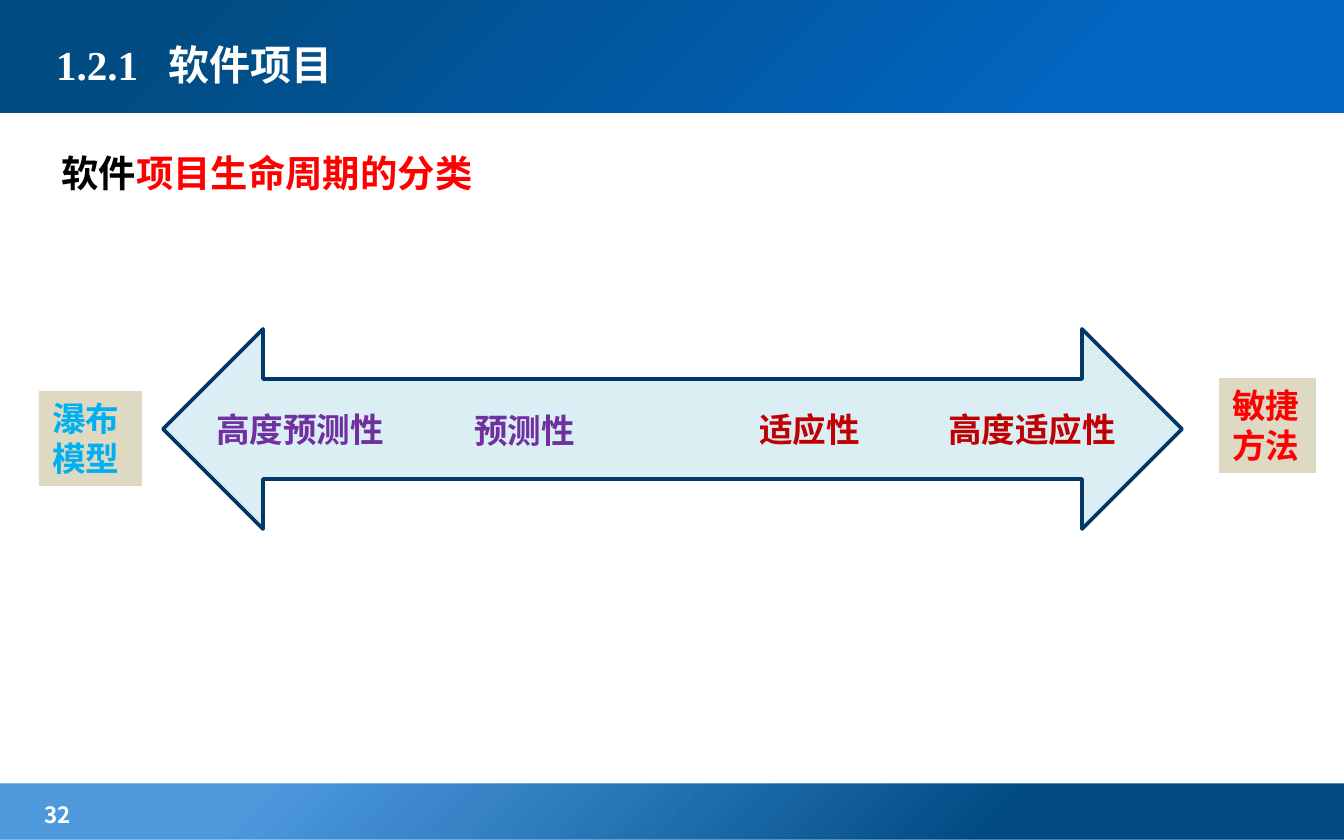
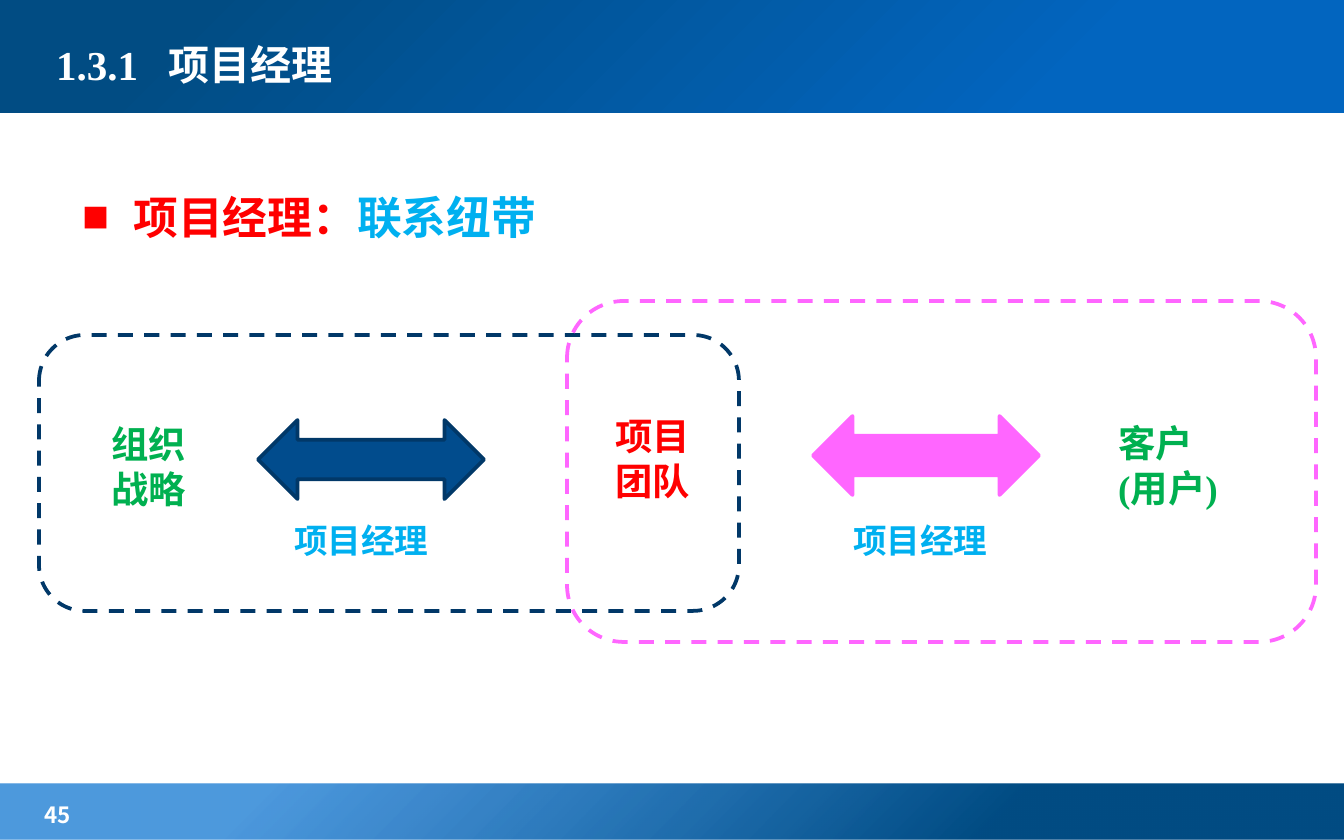
from dataclasses import dataclass
from typing import Optional

from pptx import Presentation
from pptx.dml.color import RGBColor
from pptx.enum.dml import MSO_LINE
from pptx.enum.shapes import MSO_SHAPE
from pptx.enum.text import MSO_ANCHOR
from pptx.oxml import parse_xml
from pptx.oxml.ns import nsdecls, qn
from pptx.util import Emu, Pt

SCALE = 914400 / 134.4
WIDE, HIGH = 1344, 840
SERIF, SANS, LABEL = "Times New Roman", "Noto Sans CJK SC", "Lato"
WHITE, BLACK, RED, SKY = "FFFFFF", "000000", "FF0000", "00B0F0"
GREEN, PLUM, BRICK, PINK = "00B050", "7030A0", "C00000", "FF66FF"
NAVY, BLUE, ICE, SAND = "013868", "014C8D", "DBEEF4", "DDD9C3"


@dataclass
class Box:
    """A rectangle in pixels."""
    x: int
    y: int
    w: int
    h: int


@dataclass
class Stop:
    """A gradient stop in percent."""
    pos: int
    hue: str
    alpha: int = 100


@dataclass
class Run:
    """A piece of text in one colour."""
    text: str
    hue: str


@dataclass
class Text:
    """A text box whose lines are lists of runs."""
    box: Box
    lines: list[list[Run]]
    size: int
    font: str = SERIF
    fill: Optional[str] = None
    space: Optional[float] = None
    wrap: bool = True
    mid: bool = False
    tab: int = 0
    mark: int = 0


@dataclass
class Form:
    """A preset shape with an outline."""
    kind: MSO_SHAPE
    box: Box
    line: str
    fill: Optional[str] = None
    dash: bool = False


def px(size: int) -> Emu:
    """Turn pixels into EMU."""
    return Emu(round(size * SCALE))


def rgb(hue: str) -> RGBColor:
    """Turn a hex string into a colour."""
    return RGBColor.from_string(hue)


def edges(box: Box) -> tuple[Emu, Emu, Emu, Emu]:
    """Give left, top, width and height in EMU."""
    return px(box.x), px(box.y), px(box.w), px(box.h)


def paint(shape, hue: Optional[str]) -> None:
    """Fill a shape, or leave it clear."""
    if hue:
        shape.fill.solid()
        shape.fill.fore_color.rgb = rgb(hue)
    else:
        shape.fill.background()


def band(slide, box: Box, stops: list[Stop]) -> None:
    """Draw a band with a gradient from its lower right corner."""
    shape = slide.shapes.add_shape(MSO_SHAPE.RECTANGLE, *edges(box))
    shape.shadow.inherit = False
    shape.line.fill.background()
    marks = "".join(
        f'<a:gs pos="{s.pos * 1000}"><a:srgbClr val="{s.hue}">'
        f'<a:alpha val="{s.alpha * 1000}"/></a:srgbClr></a:gs>' for s in stops)
    grad = parse_xml(
        f'<a:gradFill {nsdecls("a")} rotWithShape="1"><a:gsLst>{marks}</a:gsLst>'
        '<a:path path="circle"><a:fillToRect l="100000" t="100000"/></a:path>'
        '</a:gradFill>')
    shape._element.spPr.find(qn("a:prstGeom")).addnext(grad)


def form(slide, item: Form) -> None:
    """Draw a preset shape."""
    shape = slide.shapes.add_shape(item.kind, *edges(item.box))
    shape.shadow.inherit = False
    paint(shape, item.fill)
    shape.line.color.rgb = rgb(item.line)
    shape.line.width = Pt(2)
    if item.dash:
        shape.line.dash_style = MSO_LINE.DASH


def write(slide, item: Text) -> None:
    """Draw a text box run by run."""
    shape = slide.shapes.add_textbox(*edges(item.box))
    paint(shape, item.fill)
    frame = shape.text_frame
    frame.word_wrap = item.wrap
    if item.mid:
        frame.vertical_anchor = MSO_ANCHOR.MIDDLE
    for num, line in enumerate(item.lines):
        para = frame.add_paragraph() if num else frame.paragraphs[0]
        if item.space:
            para.line_spacing = item.space
        props = para._p.get_or_add_pPr()
        if item.mark:
            props.set("marL", str(px(item.mark)))
            props.set("indent", str(-px(item.mark)))
            props.append(parse_xml(f'<a:buFont {nsdecls("a")} typeface="{SERIF}"/>'))
            props.append(parse_xml(f'<a:buChar {nsdecls("a")} char="■"/>'))
        if item.tab:
            props.append(parse_xml(
                f'<a:tabLst {nsdecls("a")}><a:tab pos="{px(item.tab)}" algn="l"/></a:tabLst>'))
        for part in line:
            run = para.add_run()
            run.text = part.text
            run.font.size = Pt(item.size)
            run.font.bold = True
            run.font.name = item.font
            run.font.color.rgb = rgb(part.hue)
            east = parse_xml(f'<a:ea {nsdecls("a")} typeface="{SANS}"/>')
            run._r.rPr.find(qn("a:latin")).addnext(east)


def page(deck, mark: str, name: str, num: int):
    """Add a slide with bands, page number and title."""
    slide = deck.slides.add_slide(deck.slide_layouts[6])
    band(slide, Box(0, 784, WIDE, 56), [Stop(26, "014C83"), Stop(80, "026DCE", 70)])
    band(slide, Box(0, 0, WIDE, 113), [Stop(21, "0265BF"), Stop(86, "014C83")])
    write(slide, Text(Box(31, 794, 211, 35), [[Run(str(num), WHITE)]], 12, SANS))
    write(slide, Text(Box(43, 17, 857, 95), [[Run(f"{mark}\t{name}", WHITE)]],
                      22, mid=True, tab=112))
    return slide


def cycle(deck) -> None:
    """Build the slide on kinds of life cycle."""
    slide = page(deck, "1.2.1", "软件项目", 32)
    head = [Run("软件", BLACK), Run("项目生命周期的分类", RED)]
    write(slide, Text(Box(48, 121, 1031, 74), [head], 20, space=1.5))
    for box, name, hue in (
            (Box(1219, 378, 97, 95), "敏捷方法", RED),
            (Box(39, 391, 103, 95), "瀑布模型", SKY)):
        write(slide, Text(box, [[Run(name, hue)]], 18, fill=SAND))
    form(slide, Form(MSO_SHAPE.LEFT_RIGHT_ARROW, Box(163, 329, 1019, 200), NAVY, ICE))
    for x, y, w, name, hue in (
            (203, 402, 196, "高度预测性", PLUM), (461, 403, 129, "预测性", PLUM),
            (746, 402, 129, "适应性", BRICK), (935, 402, 196, "高度适应性", BRICK)):
        write(slide, Text(Box(x, y, w, 54), [[Run(name, hue)]], 18, LABEL, wrap=False))


def bond(deck) -> None:
    """Build the slide on the project manager as a link."""
    slide = page(deck, "1.3.1", "项目经理", 45)
    head = [Run("项目经理：", RED), Run("联系纽带", SKY)]
    write(slide, Text(Box(69, 156, 1207, 524), [head], 24, space=1.5, mark=51))
    for box, names, hue in (
            (Box(98, 415, 117, 103), ["组织战略"], GREEN),
            (Box(602, 407, 124, 103), ["项目团队"], RED),
            (Box(1105, 414, 141, 103), ["客户", "(用户)"], GREEN)):
        write(slide, Text(box, [[Run(name, hue)] for name in names], 20))
    for x in (281, 840):
        write(slide, Text(Box(x, 513, 167, 54), [[Run("项目经理", SKY)]], 18))
    arrow, frame = MSO_SHAPE.LEFT_RIGHT_ARROW, MSO_SHAPE.ROUNDED_RECTANGLE
    for item in (
            Form(arrow, Box(258, 420, 226, 79), NAVY, BLUE),
            Form(arrow, Box(813, 416, 226, 79), PINK, PINK),
            Form(frame, Box(39, 335, 700, 276), NAVY, dash=True),
            Form(frame, Box(567, 301, 749, 341), PINK, dash=True)):
        form(slide, item)


def main() -> None:
    """Build and save the deck."""
    deck = Presentation()
    deck.slide_width, deck.slide_height = px(WIDE), px(HIGH)
    cycle(deck)
    bond(deck)
    deck.save("out.pptx")


main()
